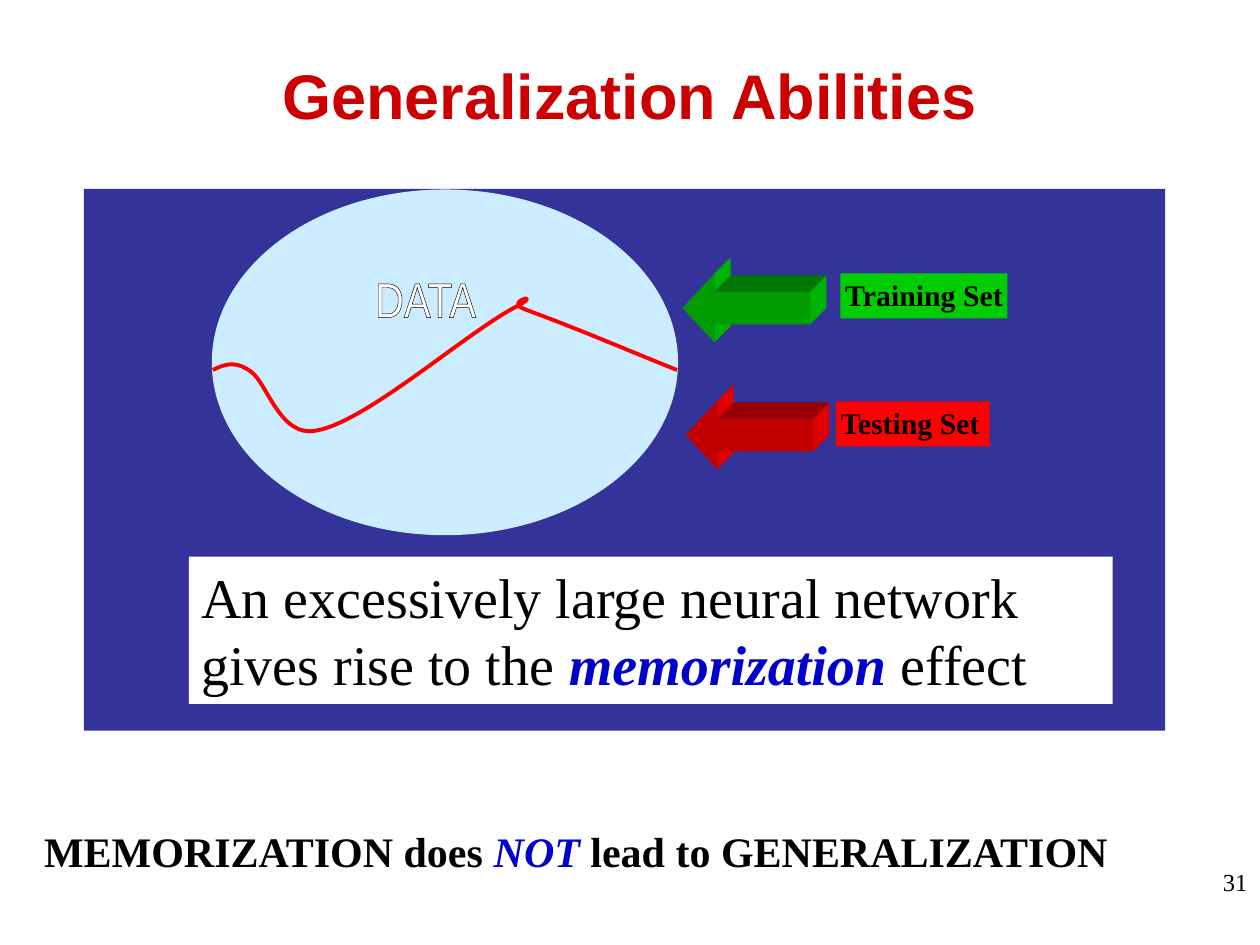
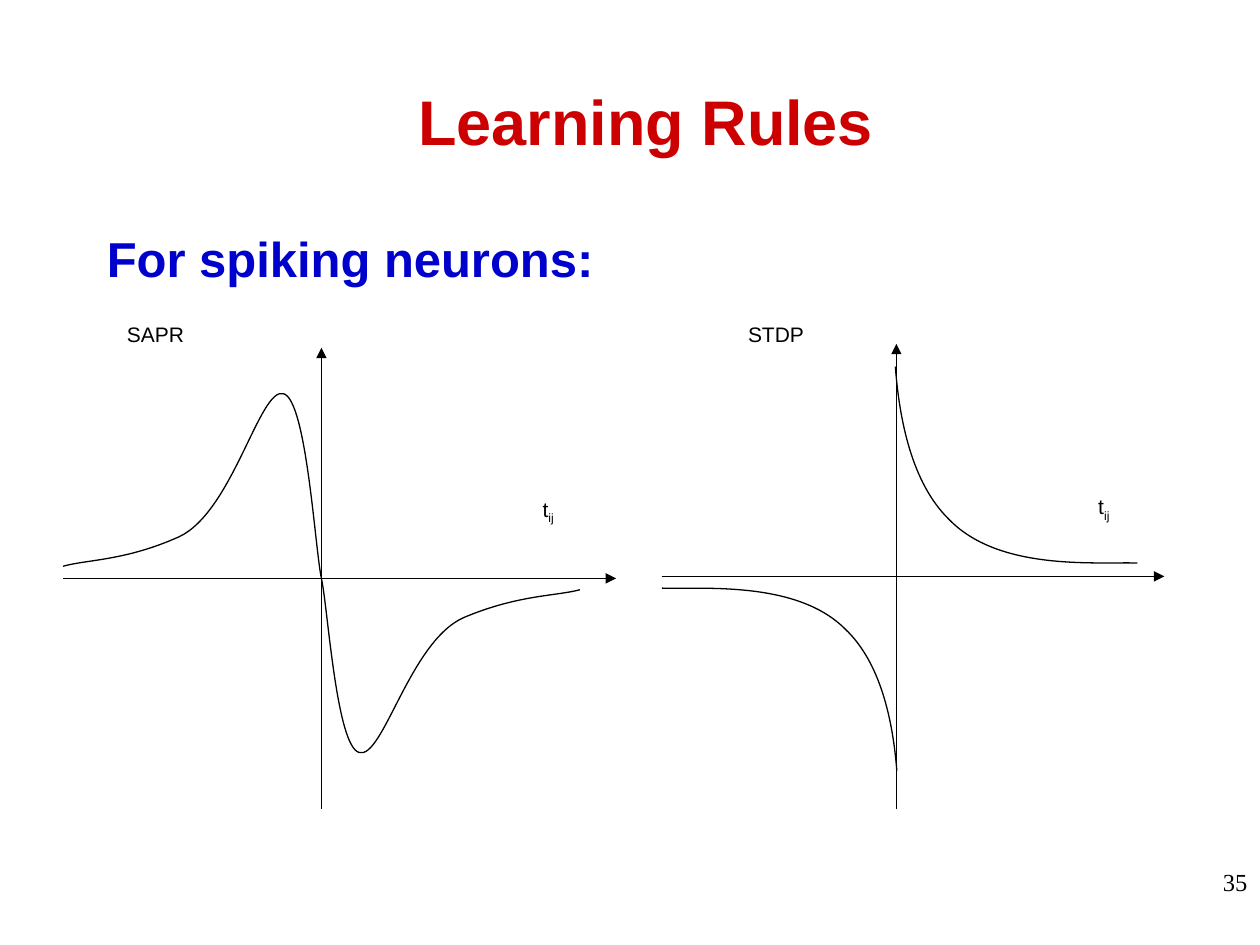
from lxml import etree
from pptx import Presentation, util as u
from pptx.dml.color import RGBColor
from pptx.enum import shapes, text
from pptx.oxml.ns import qn

SANS, NARROW, SERIF = "Arial", "Arial Narrow", "Times New Roman"
RED, BLUE, BLACK, WHITE = "CC0000", "0000CC", "000000", "FFFFFF"
LEFT, CENTER, RIGHT = text.PP_ALIGN.LEFT, text.PP_ALIGN.CENTER, text.PP_ALIGN.RIGHT
TOP, MIDDLE = text.MSO_ANCHOR.TOP, text.MSO_ANCHOR.MIDDLE
TITLE_ONLY, TITLE_AND_BODY = 5, 1

# Bezier points in cm: a start, then two handles and an end for each segment
BOUNDARY = [(4.29, 7.46), (4.6, 7.3), (4.8, 7.3), (5.07, 7.5),
            (5.4, 7.75), (5.65, 8.83), (6.38, 8.68),
            (7.4, 8.5), (9.4, 6.7), (10.43, 6.17),
            (10.75, 6), (10.6, 5.98), (10.47, 6.08),
            (10.38, 6.18), (10.55, 6.22), (10.75, 6.3),
            (11.7, 6.65), (12.7, 7.08), (13.65, 7.46)]
SAPR_HALF = [(0, 0), (0.13, 0.58), (0.3, 3.38), (0.76, 3.51),
             (1.24, 3.66), (1.78, 1.27), (2.87, 0.79),
             (3.96, 0.33), (4.72, 0.36), (5.21, 0.23)]
STDP_HALF = [(0, 0), (0.08, 1.07), (0.33, 2.34), (1.07, 3.07),
             (2.06, 4.11), (3.96, 3.94), (4.88, 3.96)]


def rgb(value):
    return RGBColor.from_string(value)


def cm(*values):
    return [u.Cm(v) for v in values]


def add_runs(p, runs, size, font=SERIF, color=BLACK, bold=False):
    """Each run is (text, changes), where changes override the paragraph's look."""
    for words, changes in runs:
        r = p.add_run()
        r.text = words
        f = r.font
        f.size, f.name = u.Pt(size), font
        f.color.rgb = rgb(changes.get("color", color))
        f.bold = changes.get("bold", bold)
        f.italic = changes.get("italic", False)
        if "baseline" in changes:
            f._element.set("baseline", changes["baseline"])


def write(sp, paragraphs, size, align=LEFT, anchor=TOP, wrap=True, **look):
    tf = sp.text_frame
    tf.word_wrap, tf.vertical_anchor = wrap, anchor
    tf.auto_size = text.MSO_AUTO_SIZE.NONE
    for i, runs in enumerate(paragraphs):
        p = tf.add_paragraph() if i else tf.paragraphs[0]
        p.alignment = align
        add_runs(p, runs, size, **look)


def add_text(s, at, runs, size, **options):
    sp = s.shapes.add_textbox(*cm(*at))
    write(sp, [runs], size, **options)
    return sp


def add_box(s, at, fill, kind=shapes.MSO_SHAPE.RECTANGLE):
    sp = s.shapes.add_shape(kind, *cm(*at))
    sp.shadow.inherit = False
    sp.fill.solid()
    sp.fill.fore_color.rgb = rgb(fill)
    sp.line.fill.background()
    return sp


def add_label(s, at, words, fill):
    sp = add_box(s, at, fill)
    tf = sp.text_frame
    tf.margin_left, tf.margin_top, tf.margin_right, tf.margin_bottom = cm(0.1, 0, 0, 0.06)
    write(sp, [[(words, {})]], 17, anchor=MIDDLE, wrap=False, bold=True)


def add_outline(s, points, closed):
    start, *rest = [cm(*point) for point in points]
    builder = s.shapes.build_freeform(*start)
    builder.add_line_segments(rest, close=closed)
    sp = builder.convert_to_shape()
    sp.shadow.inherit = False
    return sp


def add_face(s, points, fill):
    sp = add_outline(s, points, closed=True)
    sp.fill.solid()
    sp.fill.fore_color.rgb = rgb(fill)
    sp.line.fill.background()


def add_curve(s, points, color=BLACK, width=0.75):
    """Draw the points as lines, then turn each three lines into one Bezier segment."""
    sp = add_outline(s, points, closed=False)
    lines = list(sp._element.iter(qn("a:lnTo")))
    for i in range(0, len(lines), 3):
        segment = etree.Element(qn("a:cubicBezTo"))
        lines[i].addprevious(segment)
        for line in lines[i:i + 3]:
            segment.append(line[0])
            line.getparent().remove(line)
    sp.fill.background()
    sp.line.color.rgb = rgb(color)
    sp.line.width = u.Pt(width)


def placed(points, origin, sx=1, sy=1):
    return [(origin[0] + sx * x, origin[1] + sy * y) for x, y in points]


def add_axis(s, start, end):
    line = s.shapes.add_connector(shapes.MSO_CONNECTOR.STRAIGHT, *cm(*start, *end))
    line.line.color.rgb = rgb(BLACK)
    line.line.width = u.Pt(0.75)
    etree.SubElement(line.line._get_or_add_ln(), qn("a:tailEnd"), type="triangle")
    etree.SubElement(line._element.spPr, qn("a:effectLst"))


def add_block_arrow(s, origin, front, side, top):
    """Left arrow with depth: four receding faces behind a flat front."""
    neck, end, depth = 0.64, 2.57, 0.33
    head_top, shaft_top, shaft_bottom, head_bottom = 0.3, 0.66, 1.32, 1.68
    edges = [((neck, head_bottom), (neck, shaft_bottom), side),
             ((end, shaft_bottom), (end, shaft_top), side),
             ((end, shaft_top), (neck, shaft_top), top),
             ((neck, shaft_top), (neck, head_top), side)]
    for a, b, fill in edges:
        far_b, far_a = placed([b, a], (depth, -depth))
        add_face(s, placed([a, b, far_b, far_a], origin), fill)
    outline = [(neck, head_top), (0, 0.99), (neck, head_bottom), (neck, shaft_bottom),
               (end, shaft_bottom), (end, shaft_top), (neck, shaft_top)]
    add_face(s, placed(outline, origin), front)


def add_outlined_word(s, at, word):
    sp = add_text(s, at, [(word, {})], 28, font=NARROW, color=WHITE, wrap=False)
    sp.text_frame.margin_left = u.Cm(0.78)
    ln = etree.Element(qn("a:ln"), w=str(u.Pt(0.75)))
    fill = etree.SubElement(ln, qn("a:solidFill"))
    etree.SubElement(fill, qn("a:srgbClr"), val=BLACK)
    sp.text_frame.paragraphs[0].runs[0].font._element.insert(0, ln)


def place(sp, at):
    sp.left, sp.top, sp.width, sp.height = cm(*at)


def add_slide(prs, layout, title, title_at, number):
    s = prs.slides.add_slide(prs.slide_layouts[layout])
    place(s.shapes.title, title_at)
    write(s.shapes.title, [[(title, {})]], 36, align=CENTER, anchor=MIDDLE,
          font=SANS, color=RED, bold=True)
    add_text(s, (19.48, 17.35, 5.92, 1.07), [(number, {})], 14, align=RIGHT)
    return s


def add_plot(s, name, name_at, origin, x_range, y_range, time_at):
    add_text(s, (*name_at, 4.4, 2.53), [(name, {})], 12, font=SANS)
    x, y = origin
    add_axis(s, (x, y_range[0]), (x, y_range[1]))
    add_axis(s, (x_range[0], y), (x_range[1], y))
    add_text(s, (*time_at, 2.1, 2.53), [("t", {}), ("ij", {"baseline": "-25000"})],
             12, font=SANS)


def generalization_slide(prs):
    s = add_slide(prs, TITLE_ONLY, "Generalization Abilities",
                  (1.9, 0.84, 21.59, 2.11), "31")
    add_text(s, (0.64, 16.51, 24.13, 1.27),
             [("MEMORIZATION does ", {}), ("NOT", {"color": BLUE, "italic": True}),
              (" lead to GENERALIZATION", {})], 24, bold=True)
    add_box(s, (1.69, 3.81, 21.8, 10.92), "333399")
    add_box(s, (4.27, 3.82, 9.4, 6.97), "CCECFF", shapes.MSO_SHAPE.OVAL)
    add_curve(s, BOUNDARY, "FF0000", 2.25)
    add_block_arrow(s, (13.76, 5.22), "009C00", "00B300", "007900")
    add_label(s, (16.94, 5.51, 3.37, 0.91), "Training Set", "00CC00")
    add_block_arrow(s, (13.82, 7.78), "C30000", "E00000", "970000")
    add_label(s, (16.85, 8.09, 3.1, 0.91), "Testing Set", "FF0000")
    box = add_box(s, (3.81, 11.22, 18.62, 2.97), WHITE)
    write(box, [[("An excessively large neural network", {})],
                [("gives rise to the ", {}),
                 ("memorization", {"color": BLUE, "bold": True, "italic": True}),
                 (" effect", {})]], 32)
    add_outlined_word(s, (6.78, 5.29, 3.81, 3.38), "DATA")


def learning_rules_slide(prs):
    s = add_slide(prs, TITLE_AND_BODY, "Learning Rules", (2.76, 1.77, 20.52, 1.55), "35")
    s.shapes.title.text_frame.paragraphs[0].line_spacing = 0.85
    body = s.placeholders[1]
    place(body, (1.9, 4.67, 21.59, 12.9))
    p = body.text_frame.paragraphs[0]
    pPr = p._p.get_or_add_pPr()
    pPr.set("marL", str(u.Cm(0.95)))
    pPr.set("indent", str(-u.Cm(0.95)))
    etree.SubElement(pPr, qn("a:buNone"))
    p.line_spacing, p.space_before = 0.85, u.Pt(0)
    write(body, [[("For spiking neurons:", {})]], 28, font=SANS, color=BLUE, bold=True)

    sapr = (6.48, 11.66)
    add_plot(s, "SAPR", (2.31, 6.35), sapr, (1.27, 12.42), (16.31, 7.01), (10.69, 9.88))
    add_curve(s, placed(SAPR_HALF, sapr))
    add_curve(s, placed(SAPR_HALF, sapr, -1, -1.06))

    add_plot(s, "STDP", (14.83, 6.35), (18.07, 11.62), (13.34, 23.47), (16.31, 6.93),
             (21.89, 9.83))
    add_curve(s, placed(STDP_HALF, (18.05, 7.39)))
    add_curve(s, placed(STDP_HALF, (18.08, 15.54), -0.97, -0.93))


def main():
    prs = Presentation()
    prs.slide_width, prs.slide_height = cm(25.4, 19.05)
    generalization_slide(prs)
    learning_rules_slide(prs)
    prs.save("out.pptx")


if __name__ == "__main__":
    main()
